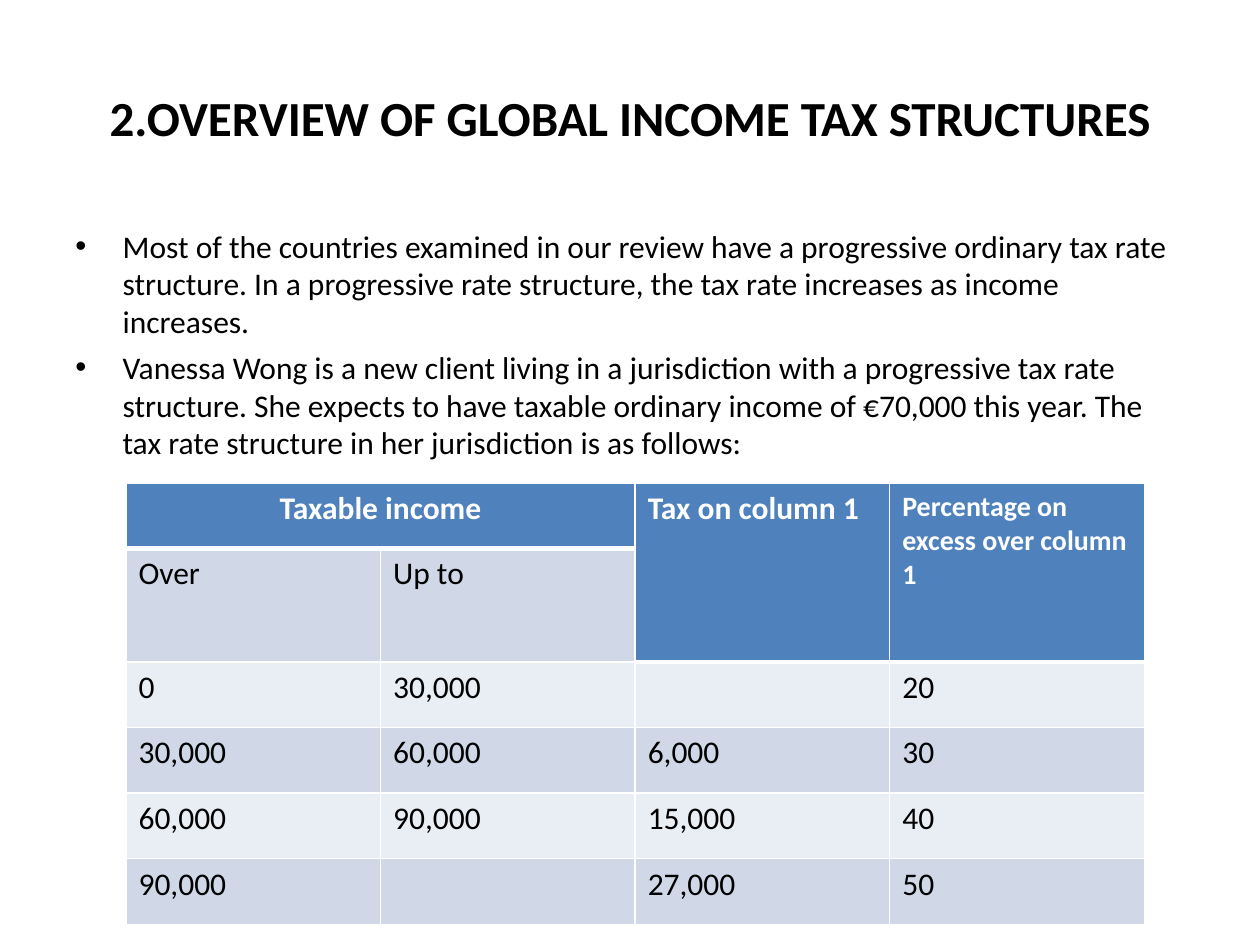
from dataclasses import dataclass

from lxml import etree
from pptx import Presentation
from pptx import util as u
from pptx.dml.color import RGBColor
from pptx.enum import text
from pptx.oxml import ns


@dataclass(frozen=True)
class Theme:
    font: str = "Calibri"
    ink: str = "000000"
    white: str = "FFFFFF"
    header: str = "4F81BD"
    bands: tuple = ("E9EDF4", "D0D8E8")
    title_size: int = 28
    body_size: int = 18
    small_size: int = 16


THEME = Theme()

TITLE = "2.OVERVIEW OF GLOBAL INCOME TAX STRUCTURES"
POINTS = [
    "Most of the countries examined in our review have a progressive ordinary tax rate "
    "structure. In a progressive rate structure, the tax rate increases as income increases.",
    "Vanessa Wong is a new client living in a jurisdiction with a progressive tax rate "
    "structure. She expects to have taxable ordinary income of €70,000 this year. "
    "The tax rate structure in her jurisdiction is as follows:",
]
TAX_ROWS = [
    ["Taxable income", "", "Tax on column 1", "Percentage on excess over column 1"],
    ["Over", "Up to", "", ""],
    ["0", "30,000", "", "20"],
    ["30,000", "60,000", "6,000", "30"],
    ["60,000", "90,000", "15,000", "40"],
    ["90,000", "", "27,000", "50"],
]
HEADER_CELLS = {(0, 0), (0, 1), (0, 2), (0, 3), (1, 2), (1, 3)}
MERGES = [((0, 0), (0, 1)), ((0, 2), (1, 2)), ((0, 3), (1, 3))]
COLUMN_WIDTH = 145.5
ROW_HEIGHT = 37.5
SUBHEAD_HEIGHT = 46


def add_span(para, words, size, color=THEME.ink, bold=False):
    span = para.add_run()
    span.text = words
    span.font.name = THEME.font
    span.font.size = u.Pt(size)
    span.font.bold = bold
    span.font.color.rgb = RGBColor.from_string(color)


def add_text_box(page, left, top, width, height):
    box = page.shapes.add_textbox(u.Pt(left), u.Pt(top), u.Pt(width), u.Pt(height))
    box.text_frame.word_wrap = True
    return box.text_frame


def add_title(page):
    frame = add_text_box(page, 36, 21.6, 648, 90)
    frame.vertical_anchor = text.MSO_ANCHOR.MIDDLE
    para = frame.paragraphs[0]
    para.alignment = text.PP_ALIGN.CENTER
    add_span(para, TITLE, THEME.title_size, bold=True)


def set_bullet(para, indent=27):
    props = para._p.get_or_add_pPr()
    props.set("marL", str(u.Pt(indent)))
    props.set("indent", str(u.Pt(-indent)))
    etree.SubElement(props, ns.qn("a:buFont"), typeface="Arial")
    etree.SubElement(props, ns.qn("a:buChar"), char="•")


def add_points(page):
    frame = add_text_box(page, 36, 126, 648, 144)
    for index, words in enumerate(POINTS):
        para = frame.add_paragraph() if index else frame.paragraphs[0]
        set_bullet(para)
        if index:
            para.space_before = u.Pt(4.4)
        add_span(para, words, THEME.body_size)


def set_borders(cell, top, bottom):
    """Draw white cell borders, with the given top and bottom widths."""
    props = cell._tc.get_or_add_tcPr()
    widths = {"lnL": 1, "lnR": 1, "lnT": top, "lnB": bottom}
    for position, (side, width) in enumerate(widths.items()):
        line = etree.Element(ns.qn(f"a:{side}"), w=str(u.Pt(width)))
        fill = etree.SubElement(line, ns.qn("a:solidFill"))
        etree.SubElement(fill, ns.qn("a:srgbClr"), val=THEME.white)
        props.insert(position, line)


def fill_cell(cell, row, column, words):
    is_header = (row, column) in HEADER_CELLS
    color = THEME.header if is_header else THEME.bands[row % 2]
    cell.fill.solid()
    cell.fill.fore_color.rgb = RGBColor.from_string(color)
    below_header = (row - 1, column) in HEADER_CELLS and not is_header
    set_borders(cell, top=3 if below_header else 1, bottom=3 if is_header else 1)
    para = cell.text_frame.paragraphs[0]
    para.font.size = u.Pt(THEME.body_size)
    if not words:
        return
    if (row, column) == (0, 0):
        para.alignment = text.PP_ALIGN.CENTER
    size = THEME.small_size if (row, column) == (0, 3) else THEME.body_size
    add_span(para, words, size, THEME.white if is_header else THEME.ink, is_header)


def add_tax_table(page):
    rows, columns = len(TAX_ROWS), len(TAX_ROWS[0])
    height = ROW_HEIGHT * (rows - 1) + SUBHEAD_HEIGHT
    table = page.shapes.add_table(rows, columns, u.Pt(72), u.Pt(276),
                                  u.Pt(COLUMN_WIDTH * columns), u.Pt(height)).table
    for column in table.columns:
        column.width = u.Pt(COLUMN_WIDTH)
    for index, row in enumerate(table.rows):
        row.height = u.Pt(SUBHEAD_HEIGHT if index == 1 else ROW_HEIGHT)
    for first, last in MERGES:
        table.cell(*first).merge(table.cell(*last))
    for row, values in enumerate(TAX_ROWS):
        for column, words in enumerate(values):
            fill_cell(table.cell(row, column), row, column, words)


def main():
    deck = Presentation()
    deck.slide_width, deck.slide_height = u.Pt(720), u.Pt(540)
    page = deck.slides.add_slide(deck.slide_layouts[6])
    add_title(page)
    add_points(page)
    add_tax_table(page)
    deck.save("out.pptx")


if __name__ == "__main__":
    main()
